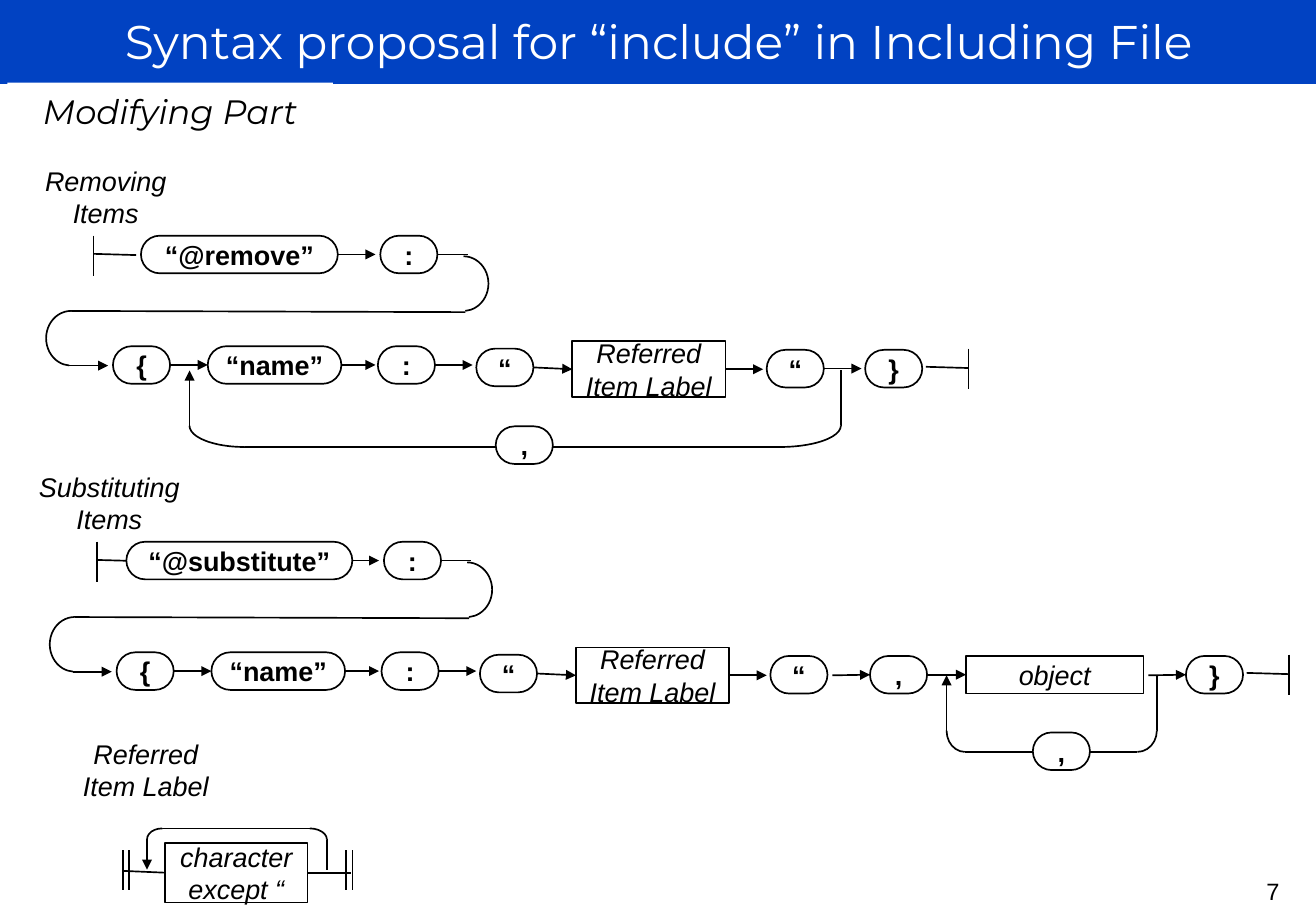
"""Build the slide on the include syntax as three railroad diagrams."""
import pptx
import pptx.dml.color
import pptx.enum.shapes
import pptx.enum.text
import pptx.oxml
import pptx.oxml.ns
import pptx.util

Inches = pptx.util.Inches
Pt = pptx.util.Pt
SHAPE = pptx.enum.shapes.MSO_SHAPE
BLUE = pptx.dml.color.RGBColor(0x01, 0x42, 0xC2)
WHITE = pptx.dml.color.RGBColor(0xFF, 0xFF, 0xFF)
BLACK = pptx.dml.color.RGBColor(0, 0, 0)
TOP, LEFT, BOTTOM, RIGHT = range(4)
TOKEN_WIDTH, TOKEN_HEIGHT = 0.47, 0.31
TOP_RIGHT, BOTTOM_RIGHT, BOTTOM_LEFT, TOP_LEFT = (162, 0), (0, 54), (54, 108), (108, 162)
RIGHT_TURN, LEFT_TURN = (162, 51.79), (56.21, 162)


def write(frame, text, size=16, font="Arial", color=BLACK, bold=False, italic=False):
    """Fill a text frame with centred text in one format."""
    frame.word_wrap = True
    frame.auto_size = pptx.enum.text.MSO_AUTO_SIZE.NONE
    frame.vertical_anchor = pptx.enum.text.MSO_ANCHOR.MIDDLE
    frame.margin_left = frame.margin_right = Inches(0.1)
    frame.margin_top = frame.margin_bottom = Inches(0.05)
    frame.text = text
    for paragraph in frame.paragraphs:
        paragraph.alignment = pptx.enum.text.PP_ALIGN.CENTER
        for run in paragraph.runs:
            run.font.size = Pt(size)
            run.font.name = font
            run.font.color.rgb = color
            run.font.bold = bold
            run.font.italic = italic


class Diagram:
    """Hold the slide and draw each kind of element in its style."""

    def __init__(self, slide):
        """Keep the slide that is drawn on."""
        self.slide = slide

    def shape(self, kind, x, y, width, height, fill=WHITE, outline=True):
        """Add a flat preset shape."""
        shape = self.slide.shapes.add_shape(
            kind, Inches(x), Inches(y), Inches(width), Inches(height))
        shape.shadow.inherit = False
        shape.fill.solid()
        shape.fill.fore_color.rgb = fill
        if outline:
            shape.line.color.rgb = BLACK
            shape.line.width = Pt(1)
        else:
            shape.line.fill.background()
        return shape

    def title(self, text):
        """Place the title over a blue bar."""
        bar = self.shape(SHAPE.RECTANGLE, 0, 0, 10.83, 0.69, fill=BLUE, outline=False)
        heading = self.slide.shapes.title
        heading.left, heading.top = Inches(0.02), Inches(0.05)
        heading.width, heading.height = Inches(10.8), Inches(0.57)
        write(heading.text_frame, text, size=28, font="Montserrat", color=WHITE)
        heading._element.addprevious(bar._element)

    def number(self, text):
        """Place the slide number."""
        box = self.slide.shapes.add_textbox(
            Inches(10.12), Inches(7.17), Inches(0.71), Inches(0.33))
        write(box.text_frame, text, size=14)

    def token(self, text, x, y, width=TOKEN_WIDTH):
        """Add a literal in a capsule."""
        capsule = self.shape(SHAPE.ROUNDED_RECTANGLE, x, y, width, TOKEN_HEIGHT)
        capsule.adjustments[0] = 0.5
        write(capsule.text_frame, text, bold=True)
        return capsule

    def rule(self, text, x, y, width, height=0.46, outline=True, **style):
        """Add the name of a rule in a box, or as a plain caption."""
        box = self.shape(SHAPE.ROUNDED_RECTANGLE, x, y, width, height, outline=outline)
        box.adjustments[0] = 0
        write(box.text_frame, text, italic=True, **style)
        return box

    def line(self, start, end, arrow=False):
        """Draw a line between points given as (x, y) or (shape, side)."""
        connector = self.slide.shapes.add_connector(
            pptx.enum.shapes.MSO_CONNECTOR.STRAIGHT, 0, 0, 0, 0)
        connector.line.color.rgb = BLACK
        connector.line.width = Pt(1)
        if isinstance(start[0], (int, float)):
            connector.begin_x, connector.begin_y = map(Inches, start)
        else:
            connector.begin_connect(*start)
        if isinstance(end[0], (int, float)):
            connector.end_x, connector.end_y = map(Inches, end)
        else:
            connector.end_connect(*end)
        properties = connector._element.spPr
        if arrow:
            head = pptx.oxml.parse_xml(
                '<a:tailEnd %s type="triangle"/>' % pptx.oxml.ns.nsdecls("a"))
            connector.line._get_or_add_ln().append(head)
        properties.append(pptx.oxml.parse_xml(
            "<a:effectLst %s/>" % pptx.oxml.ns.nsdecls("a")))

    def flow(self, source, x, arrow=True):
        """Draw a level line from the right side of a shape to x."""
        middle = source.top.inches + source.height.inches / 2
        self.line((source, RIGHT), (x, middle), arrow)

    def bar(self, x, y):
        """Draw the upright stroke that begins or ends a rail."""
        self.line((x, y), (x, y + 0.33))

    def arc(self, angles, x, y, width, height):
        """Draw the part of an ellipse between two angles."""
        curve = self.shape(SHAPE.ARC, x, y, width, height)
        curve.adjustments[0], curve.adjustments[1] = angles

    def loop(self, left, right, rail, turn, left_width, right_width, height):
        """Draw a rounded path that leads back from right to left."""
        below = turn > rail
        corner_top = turn - height if below else turn
        corner_middle = corner_top + height / 2
        self.line((right, rail), (right, corner_middle))
        self.arc(BOTTOM_RIGHT if below else TOP_RIGHT,
                 right - right_width, corner_top, right_width, height)
        self.line((right - right_width / 2, turn), (left + left_width / 2, turn))
        self.arc(BOTTOM_LEFT if below else TOP_LEFT, left, corner_top, left_width, height)
        self.line((left, corner_middle), (left, rail), arrow=True)

    def opening(self, caption, keyword, keyword_x, keyword_width, dx, dy):
        """Draw the rail from its start to the closing quote, which is returned."""
        self.rule(caption, 0.19 + dx, 1.39 + dy, 1.36, outline=False)
        self.line((0.77 + dx, 2.09 + dy), (1.12 + dx, 2.1 + dy))
        self.bar(0.77 + dx, 1.94 + dy)
        key = self.token(keyword, keyword_x, 1.94 + dy, keyword_width)
        colon = self.token(":", 3.13 + dx, 1.94 + dy)
        self.flow(key, 3.09 + dx)
        self.arc(RIGHT_TURN, 3.61 + dx, 2.11 + dy, 0.41, 0.45)
        self.flow(colon, 3.85 + dx, arrow=False)
        self.line((0.58 + dx, 2.56 + dy), (3.83 + dx, 2.57 + dy))
        self.arc(LEFT_TURN, 0.38 + dx, 2.56 + dy, 0.41, 0.45)
        self.line((0.57 + dx, 3.01 + dy), (0.89 + dx, 3.01 + dy), arrow=True)
        brace = self.token("{", 0.93 + dx, 2.85 + dy)
        name = self.token("“name”", 1.71 + dx, 2.85 + dy, 1.1)
        name_colon = self.token(":", 3.11 + dx, 2.85 + dy)
        open_quote = self.token("“", 3.92 + dx, 2.87 + dy)
        label = self.rule("Referred Item Label", 4.71 + dx, 2.81 + dy, 1.26)
        close_quote = self.token("“", 6.31 + dx, 2.88 + dy)
        self.line((brace, RIGHT), (name, LEFT), arrow=True)
        self.flow(name, 3.09 + dx)
        self.flow(name_colon, 3.89 + dx)
        self.line((open_quote, RIGHT), (label, LEFT), arrow=True)
        self.flow(label, 6.28 + dx)
        return close_quote

    def closing(self, x, y):
        """Draw the closing brace and the end of the rail."""
        brace = self.token("}", x, y)
        self.line((x + 0.5, y + 0.14), (x + 0.85, y + 0.15))
        self.bar(x + 0.85, y - 0.01)
        return brace


def main():
    """Draw the slide and save it."""
    deck = pptx.Presentation()
    deck.slide_width, deck.slide_height = Inches(10.83), Inches(7.5)
    diagram = Diagram(deck.slides.add_slide(deck.slide_layouts[5]))
    diagram.title("Syntax proposal for “include” in Including File")
    diagram.rule("Modifying Part", 0.06, 0.68, 2.68, outline=False,
                 size=20, font="Montserrat")
    diagram.number("7")

    remove_quote = diagram.opening("Removing Items", "“@remove”", 1.16, 1.62, 0, 0)
    diagram.flow(remove_quote, 7.09)
    diagram.closing(7.12, 2.88)
    diagram.loop(1.56, 6.92, 3.05, 3.68, 0.9, 1, 0.35)
    diagram.token(",", 4.08, 3.51)

    diagram.opening("Substituting Items", "“@substitute”", 1.04, 1.86, 0.03, 2.52)
    comma = diagram.token(",", 7.16, 5.4)
    target = diagram.rule("object", 7.95, 5.4, 1.46, 0.31)
    brace = diagram.closing(9.76, 5.4)
    diagram.line((6.85, 5.56), (comma, LEFT), arrow=True)
    diagram.line((comma, RIGHT), (target, LEFT), arrow=True)
    diagram.line((9.45, 5.56), (brace, LEFT), arrow=True)
    diagram.loop(7.79, 9.52, 5.56, 6.19, 0.3, 0.32, 0.35)
    diagram.token(",", 8.5, 6.03)

    diagram.rule("Referred Item Label", 0.53, 6.11, 1.34, outline=False)
    character = diagram.rule("character\nexcept “", 1.36, 6.94, 1.17, 0.49)
    diagram.line((1.01, 7.17), (character, LEFT))
    diagram.flow(character, 2.89, arrow=False)
    for x in (1.01, 1.06, 2.85, 2.9):
        diagram.bar(x, 7)
    diagram.loop(1.21, 2.69, 7.16, 6.82, 0.25, 0.28, 0.18)
    deck.save("out.pptx")


if __name__ == "__main__":
    main()
